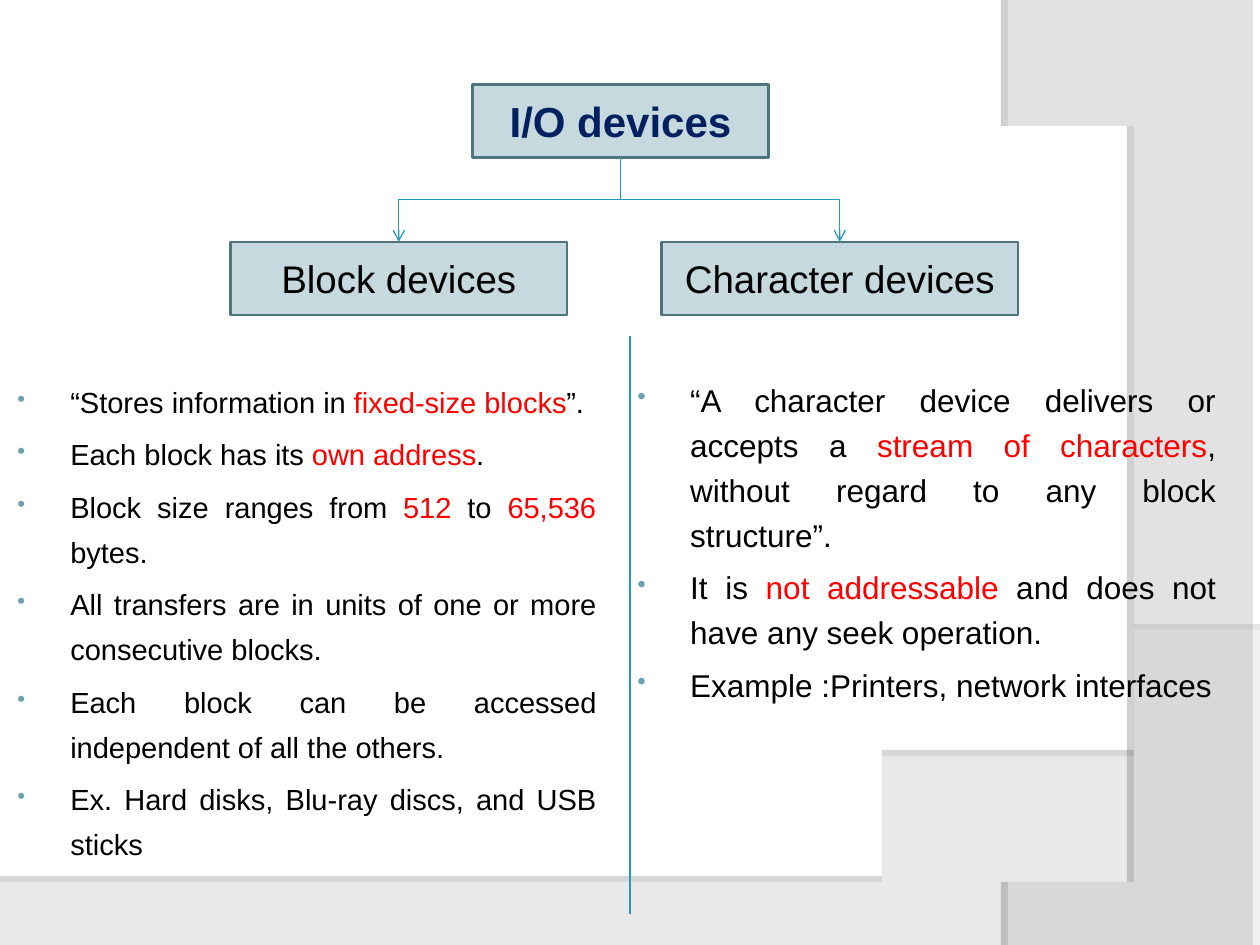
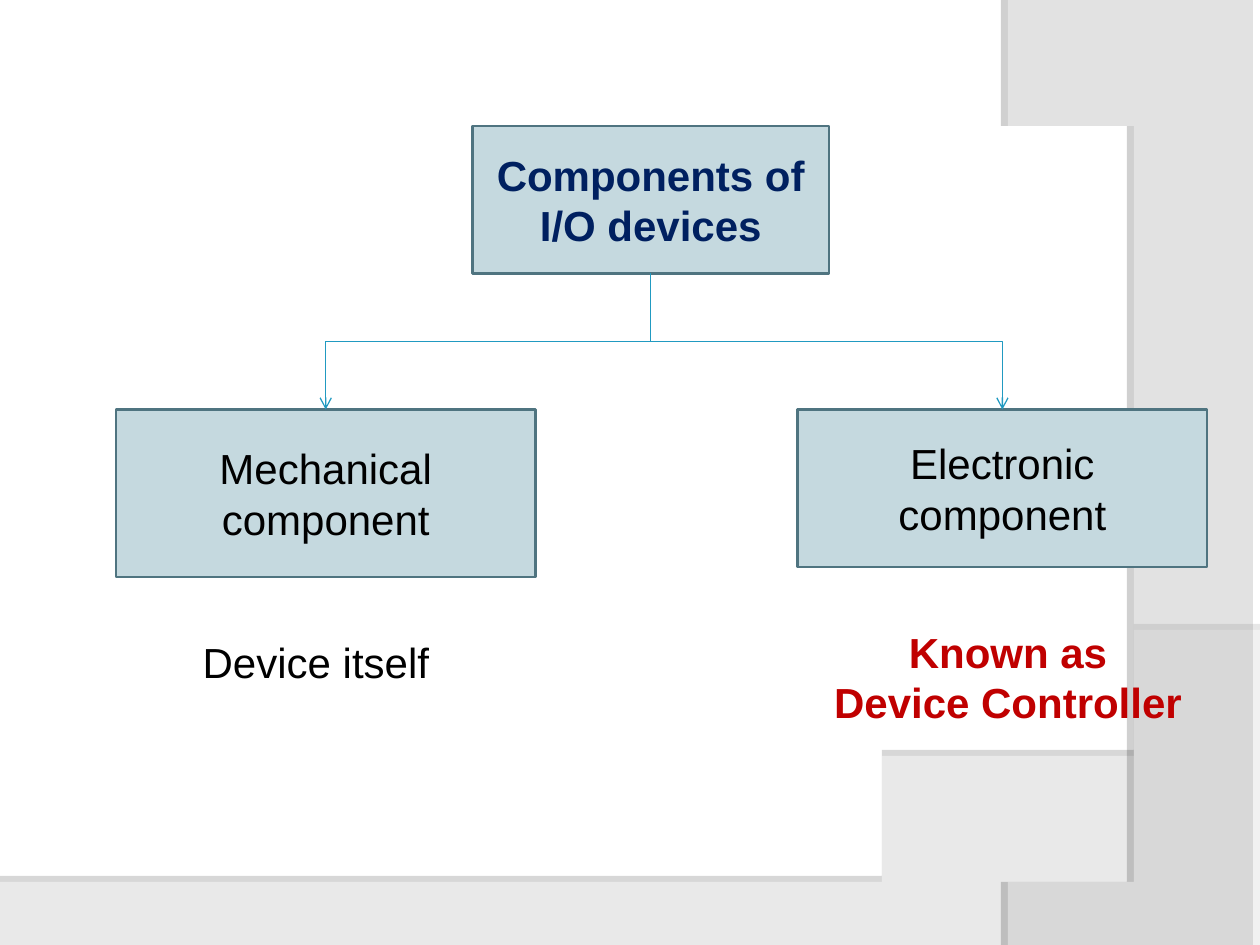
import lxml.etree
import pptx
import pptx.dml.color
import pptx.enum.shapes
import pptx.enum.text
import pptx.oxml.ns
import pptx.util

Inches = pptx.util.Inches
Pt = pptx.util.Pt
qn = pptx.oxml.ns.qn
ALIGN = pptx.enum.text.PP_ALIGN
CONNECTOR = pptx.enum.shapes.MSO_CONNECTOR

FONT = "Arial"
WHITE = "FFFFFF"
BLACK = "000000"
NAVY = "002060"
RED = "FF0000"
DARK_RED = "C00000"
BOX_FILL = "C5D9DF"
BOX_LINE = "4F7480"
LINK = "219AC1"
BULLET = "6EA0B0"
CURVE_STEPS = 60

BLOCK_POINTS = [
    "“Stores information in *fixed-size blocks*”.",
    "Each block has its *own address*.",
    "Block size ranges from *512* to *65,536* bytes.",
    "All transfers are in units of one or more consecutive blocks.",
    "Each block can be accessed independent of all the others.",
    "Ex. Hard disks, Blu-ray discs, and USB sticks",
]
CHARACTER_POINTS = [
    "“A character device delivers or accepts a *stream of characters*, "
    "without regard to any block structure”.",
    "It is *not addressable* and does not have any seek operation.",
    "Example :Printers, network interfaces",
]


def rgb(value):
    return pptx.dml.color.RGBColor.from_string(value)


def add_xml(parent, tag, **attributes):
    values = {name: str(value) for name, value in attributes.items()}
    return lxml.etree.SubElement(parent, qn(tag), values)


def write(frame, lines, size=24, color=BLACK, accent=RED, bold=False,
          align=ALIGN.CENTER, bullets=False):
    for index, line in enumerate(lines):
        paragraph = frame.paragraphs[0] if index == 0 else frame.add_paragraph()
        paragraph.alignment = align
        if bullets:
            add_bullet(paragraph)
            paragraph.line_spacing = Pt(25.6)
            paragraph.space_before = Pt(4.5 if index else 0)
        for part, text in enumerate(line.split("*")):
            run = paragraph.add_run()
            run.text = text
            run.font.name = FONT
            run.font.size = Pt(size)
            run.font.bold = bold
            run.font.color.rgb = rgb(accent if part % 2 else color)


def add_bullet(paragraph):
    properties = paragraph._p.get_or_add_pPr()
    properties.set("marL", str(Inches(0.46)))
    properties.set("indent", str(Inches(-0.42)))
    add_xml(add_xml(properties, "a:buClr"), "a:srgbClr", val=BULLET)
    add_xml(properties, "a:buSzPct", val=80000)
    add_xml(properties, "a:buChar", char="•")


def bezier(start, control_1, control_2, end):
    points = []
    for step in range(1, CURVE_STEPS + 1):
        t = step / CURVE_STEPS
        weights = ((1 - t) ** 3, 3 * t * (1 - t) ** 2, 3 * t * t * (1 - t), t ** 3)
        points.append(tuple(
            sum(weight * value for weight, value in zip(weights, axis))
            for axis in zip(start, control_1, control_2, end)))
    return points


def add_wave(slide, corners, curve, opacity, shadow_opacity, distance, direction):
    outline = corners + bezier(corners[-1], *curve)
    builder = slide.shapes.build_freeform(*outline[0], scale=Inches(1))
    builder.add_line_segments(outline[1:], close=True)
    wave = builder.convert_to_shape()
    wave.fill.solid()
    wave.fill.fore_color.rgb = rgb(WHITE)
    wave.line.fill.background()
    wave.shadow.inherit = False
    properties = wave._element.spPr
    fill_color = properties.find(qn("a:solidFill")).find(qn("a:srgbClr"))
    add_xml(fill_color, "a:alpha", val=opacity * 1000)
    shadow = add_xml(properties.find(qn("a:effectLst")), "a:outerShdw", blurRad=0,
                     dist=Pt(distance), dir=direction * 60000, algn="ctr",
                     rotWithShape=0)
    shadow_color = add_xml(shadow, "a:srgbClr", val=BLACK)
    add_xml(shadow_color, "a:alpha", val=shadow_opacity * 1000)


def add_waves(slide):
    add_wave(slide, [(0, 7.05), (0, 7.51), (10, 7.51), (10, 5.2)],
             [(5.59, 7.29), (3.91, 7.19), (0, 7.05)], 45, 35, 3.5, 270)
    add_wave(slide, [(10, 0.02), (10, 7.5), (8.21, 7.5)],
             [(9.35, 6.19), (10.18, 3), (8, 0)], 40, 45, 4, 180)


def add_box(slide, text, left, top, width, height, **style):
    box = slide.shapes.add_shape(
        pptx.enum.shapes.MSO_SHAPE.RECTANGLE,
        Inches(left), Inches(top), Inches(width), Inches(height))
    box.shadow.inherit = False
    box.fill.solid()
    box.fill.fore_color.rgb = rgb(BOX_FILL)
    box.line.color.rgb = rgb(BOX_LINE)
    box.line.width = Pt(1.5)
    box.text_frame.word_wrap = True
    box.text_frame.vertical_anchor = pptx.enum.text.MSO_ANCHOR.MIDDLE
    write(box.text_frame, [text], **style)
    return box


def add_text(slide, lines, left, top, width, height, wrap=True, **style):
    area = slide.shapes.add_textbox(
        Inches(left), Inches(top), Inches(width), Inches(height))
    area.text_frame.word_wrap = wrap
    write(area.text_frame, lines, **style)


def add_line(slide, kind, x1, y1, x2, y2):
    line = slide.shapes.add_connector(kind, int(x1), int(y1), int(x2), int(y2))
    line.line.color.rgb = rgb(LINK)
    line.line.width = Pt(0.75)
    add_xml(line._element.spPr, "a:effectLst")
    return line


def add_branch(slide, parent, child):
    start_x, start_y = parent.left + parent.width / 2, parent.top + parent.height
    end_x, end_y = child.left + child.width / 2, child.top
    middle_x, middle_y = (start_x + end_x) / 2, (start_y + end_y) / 2
    turn, sign = (270, -1) if end_x > start_x else (90, 1)
    half_x, half_y = sign * (end_y - start_y) / 2, sign * (start_x - end_x) / 2
    branch = add_line(slide, CONNECTOR.ELBOW, middle_x - half_x, middle_y - half_y,
                      middle_x + half_x, middle_y + half_y)
    properties = branch._element.spPr
    properties.find(qn("a:xfrm")).set("rot", str(turn * 60000))
    add_xml(properties.find(qn("a:ln")), "a:tailEnd", type="arrow")


def add_slide(deck):
    slide = deck.slides.add_slide(deck.slide_layouts[6])
    add_waves(slide)
    return slide


def add_device_types(deck):
    slide = add_slide(deck)
    devices = add_box(slide, "I/O devices", 3.75, 0.67, 2.35, 0.58,
                      color=NAVY, bold=True)
    character = add_box(slide, "Character devices", 5.25, 1.92, 2.83, 0.58, size=22)
    block = add_box(slide, "Block devices", 1.83, 1.92, 2.67, 0.58, size=22)
    for kind in (character, block):
        add_branch(slide, devices, kind)
    add_line(slide, CONNECTOR.STRAIGHT, Inches(5), Inches(2.67), Inches(5), Inches(7.25))
    for points, left, size in ((BLOCK_POINTS, 0, 16.6), (CHARACTER_POINTS, 4.92, 18)):
        add_text(slide, points, left, 2.92, 4.83, 3.75, size=size,
                 align=ALIGN.JUSTIFY, bullets=True)


def add_components(deck):
    slide = add_slide(deck)
    components = add_box(slide, "Components of I/O devices", 3.75, 1, 2.83, 1.17,
                         color=NAVY, bold=True)
    electronic = add_box(slide, "Electronic component", 6.33, 3.25, 3.25, 1.25)
    mechanical = add_box(slide, "Mechanical component", 0.92, 3.25, 3.33, 1.33)
    for component in (electronic, mechanical):
        add_branch(slide, components, component)
    add_text(slide, ["Device itself"], 1.51, 5, 2.09, 0.5, wrap=False, align=ALIGN.LEFT)
    add_text(slide, ["Known as", "Device Controller"], 6.52, 4.92, 2.96, 0.9,
             wrap=False, color=DARK_RED, bold=True)


def main():
    deck = pptx.Presentation()
    deck.slide_width = Inches(10)
    deck.slide_height = Inches(7.5)
    add_device_types(deck)
    add_components(deck)
    deck.save("out.pptx")


if __name__ == "__main__":
    main()
